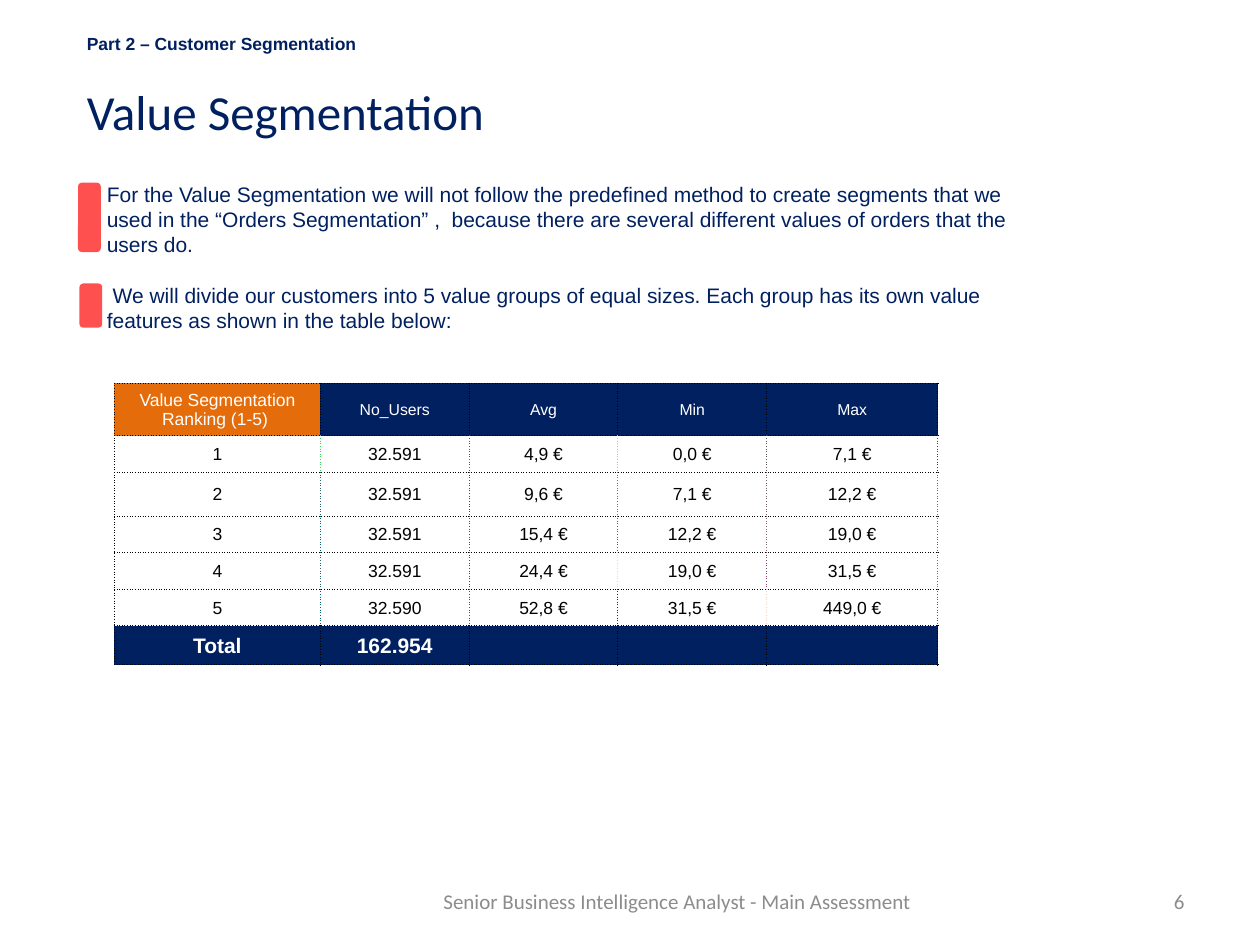
from lxml.etree import SubElement
from pptx import Presentation
from pptx.dml.color import RGBColor
from pptx.enum.shapes import MSO_SHAPE
from pptx.enum.text import MSO_ANCHOR, MSO_AUTO_SIZE, PP_ALIGN
from pptx.oxml.ns import qn
from pptx.util import Pt

NAVY, ORANGE, CORAL = "002060", "E46C0A", "FF5050"
WHITE, BLACK, GREY = "FFFFFF", "000000", "8C8C8C"


def rgb(code):
    return RGBColor.from_string(code)


def write(frame, text, size=12, font="Arial", color=NAVY, bold=False,
          align=PP_ALIGN.LEFT, anchor=MSO_ANCHOR.TOP, gap=0):
    frame.word_wrap = True
    frame.vertical_anchor = anchor
    for index, line in enumerate(text.split("\n")):
        paragraph = frame.add_paragraph() if index else frame.paragraphs[0]
        paragraph.alignment = align
        paragraph.space_before = Pt(gap if index else 0)
        run = paragraph.add_run()
        run.text = line
        run.font.size = Pt(size)
        run.font.name = font
        run.font.bold = bold
        run.font.color.rgb = rgb(color)


def dotted_borders(cell, **sides):
    properties = cell._tc.get_or_add_tcPr()
    for position, side in enumerate("LRTB"):
        line = properties.makeelement(qn(f"a:ln{side}"), {"w": str(Pt(0.5))})
        fill = SubElement(line, qn("a:solidFill"))
        SubElement(fill, qn("a:srgbClr"), val=sides.get(side, BLACK))
        SubElement(line, qn("a:prstDash"), val="sysDot")
        properties.insert(position, line)


class SlideBuilder:
    def __init__(self, slide):
        self.slide = slide

    def title(self, box, text, **style):
        heading = self.slide.shapes.title
        heading.left, heading.top, heading.width, heading.height = map(Pt, box)
        heading.text_frame.auto_size = MSO_AUTO_SIZE.NONE
        write(heading.text_frame, text, **style)

    def text(self, box, text, **style):
        write(self.slide.shapes.add_textbox(*map(Pt, box)).text_frame, text, **style)

    def marker(self, box, color):
        bar = self.slide.shapes.add_shape(MSO_SHAPE.ROUNDED_RECTANGLE, *map(Pt, box))
        bar.shadow.inherit = False
        bar.fill.solid()
        bar.fill.fore_color.rgb = rgb(color)
        bar.line.fill.background()

    def table(self, left, top, widths, heights, rows, separators):
        table = self.slide.shapes.add_table(
            len(rows), len(widths), Pt(left), Pt(top),
            Pt(sum(widths)), Pt(sum(heights))).table
        for column, width in zip(table.columns, widths):
            column.width = Pt(width)
        for row, height in zip(table.rows, heights):
            row.height = Pt(height)
        last = len(rows) - 1
        for r, values in enumerate(rows):
            edges = [BLACK, *separators.get(r, [BLACK] * len(widths))]
            for c, value in enumerate(values):
                cell = table.cell(r, c)
                cell.margin_left = cell.margin_right = cell.margin_top = Pt(0.7)
                cell.margin_bottom = 0
                cell.vertical_anchor = MSO_ANCHOR.MIDDLE
                if r == 0:
                    fill, color, size = NAVY if c else ORANGE, WHITE, 9 if c else 10
                elif r == last:
                    fill, color, size = NAVY, WHITE, 12
                else:
                    fill, color, size = WHITE, BLACK, 10
                cell.fill.solid()
                cell.fill.fore_color.rgb = rgb(fill)
                write(cell.text_frame, value, size=size, color=color, bold=r == last,
                      align=PP_ALIGN.CENTER, anchor=MSO_ANCHOR.MIDDLE)
                dotted_borders(cell, L=edges[c], R=edges[c + 1])


def main():
    deck = Presentation()
    deck.slide_width, deck.slide_height = Pt(720), Pt(540)
    builder = SlideBuilder(deck.slides.add_slide(deck.slide_layouts[5]))

    builder.title((42.5, 43.2, 544.3, 41), "Value Segmentation", size=28, font="Calibri")
    builder.text((42.5, 15.1, 278, 19.4), "Part 2 – Customer Segmentation", size=10, bold=True)

    reasoning = (
        "For the Value Segmentation we will not follow the predefined method to create "
        "segments that we used in the “Orders Segmentation” ,  because there are several "
        "different values of orders that the users do.\n"
        " We will divide our customers into 5 value groups of equal sizes. Each group has "
        "its own value features as shown in the table below:")
    builder.text((54, 100.1, 544.3, 94.3), reasoning, gap=14.5)
    builder.marker((44.6, 104.4, 13, 39.6), CORAL)
    builder.marker((45.4, 162, 13, 25.2), CORAL)

    value_groups = [
        ["Value Segmentation Ranking (1-5) ", "No_Users", "Avg", "Min", "Max"],
        ["1", "32.591", "4,9 €", "0,0 €", "7,1 €"],
        ["2", "32.591", "9,6 €", "7,1 €", "12,2 €"],
        ["3", "32.591", "15,4 €", "12,2 €", "19,0 €"],
        ["4", "32.591", "24,4 €", "19,0 €", "31,5 €"],
        ["5", "32.590", "52,8 €", "31,5 €", "449,0 €"],
        ["Total", "162.954", "", "", ""],
    ]
    separators = {
        1: ["40D357", "405F57", "B0D557", "605557", "802612"],
        2: ["206267", "006167", "806C67", "706067", "806167"],
        3: ["006167", "206267", "804971", "806C67", "706067"],
        4: ["206267", "006167", "F0D5CB", "804971", "806C67"],
        5: ["006167", "206267", "502012", "F0D5CB", "804971"],
    }
    builder.table(65.3, 218.9, [117.8, 85, 85, 85, 97.9],
                  [30.2, 20.9, 24.9, 20.9, 20.9, 20.9, 20], value_groups, separators)

    footer = dict(size=12, font="Calibri", color=GREY, anchor=MSO_ANCHOR.MIDDLE)
    builder.text((246.2, 500.4, 284.4, 28.8),
                 "Senior Business Intelligence Analyst - Main Assessment ",
                 align=PP_ALIGN.CENTER, **footer)
    builder.text((516.2, 500.4, 167.8, 28.8), "6", align=PP_ALIGN.RIGHT, **footer)

    deck.save("out.pptx")


if __name__ == "__main__":
    main()
